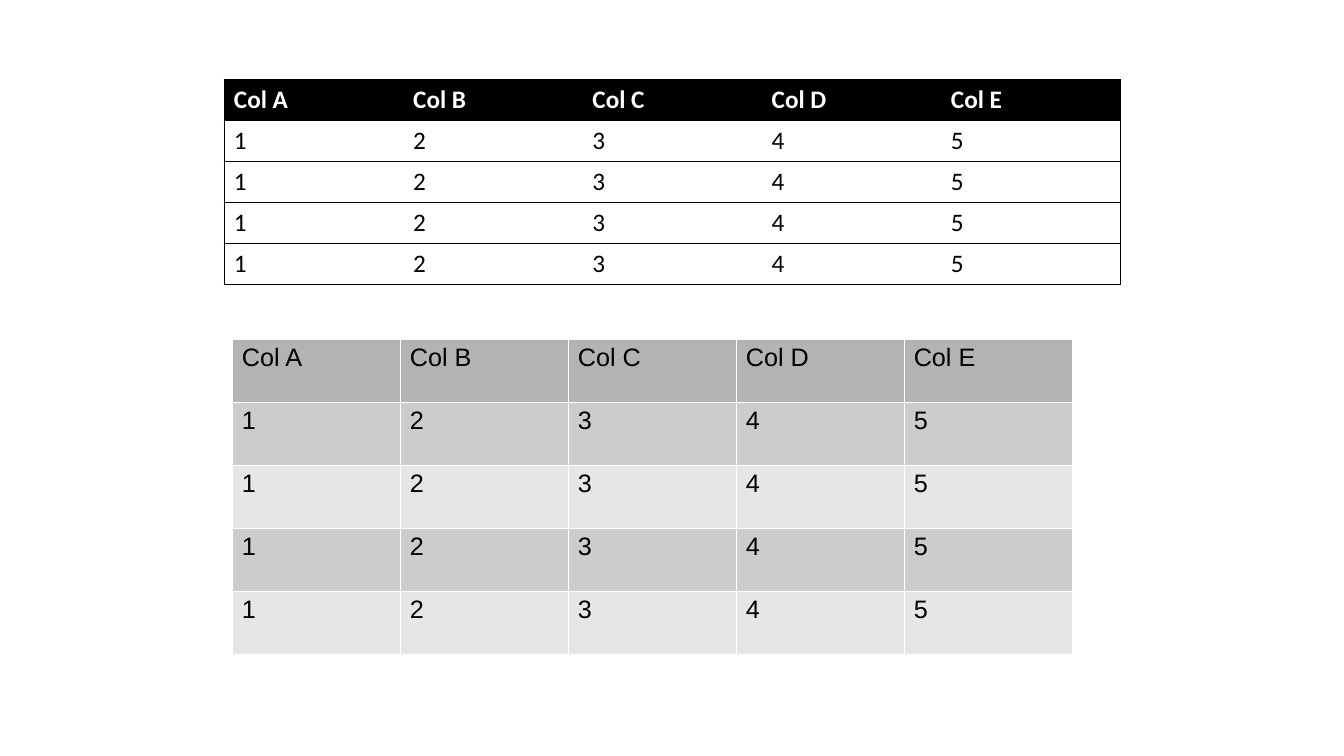
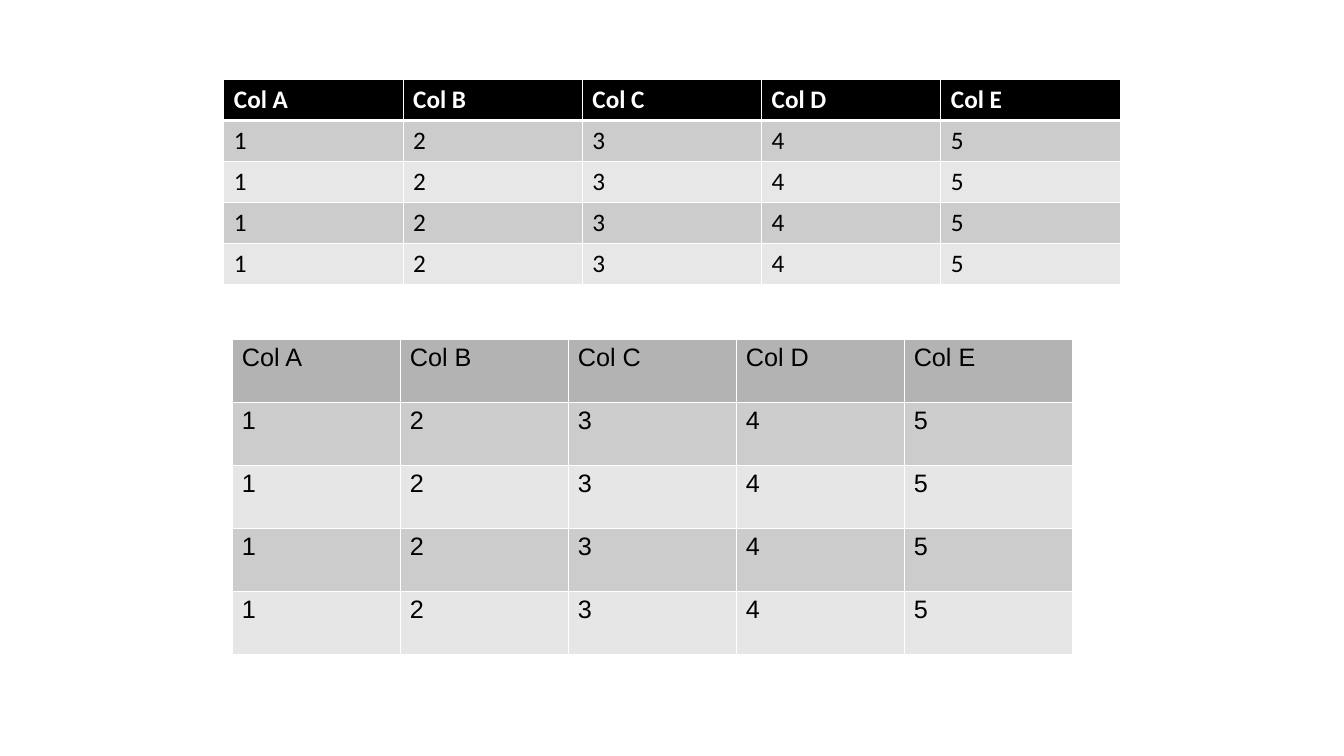
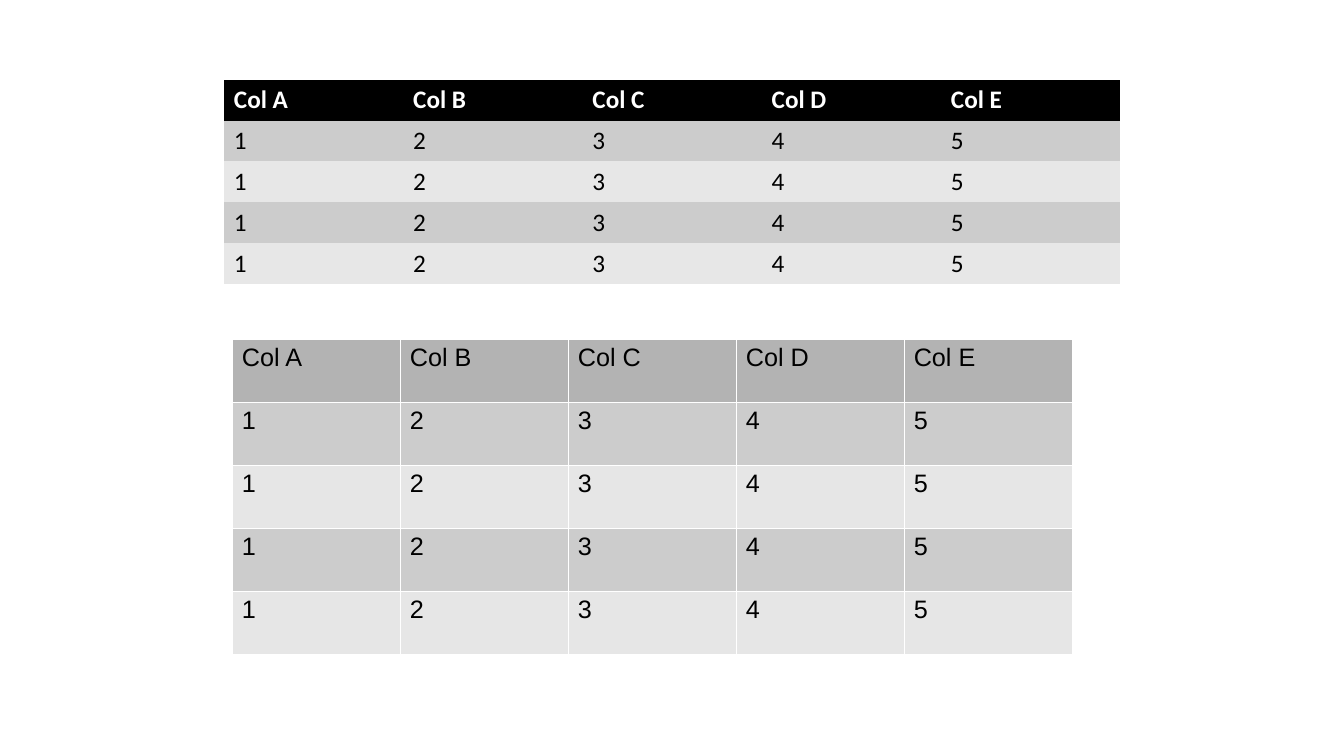
from pptx import Presentation
from pptx.dml.color import RGBColor
from pptx.enum.text import MSO_ANCHOR
from pptx.oxml.ns import qn
from pptx.util import Inches, Pt
from lxml import etree

MIDDLE, TOP = MSO_ANCHOR.MIDDLE, MSO_ANCHOR.TOP
BLANK = 6
BLACK, WHITE = "000000", "FFFFFF"
HEADER_GRAY, DARK_BAND = "B3B3B3", "CCCCCC"
ROWS = [[f"Col {letter}" for letter in "ABCDE"]] + [list("12345")] * 4

UPPER = dict(box=(2.22, 0.79, 8.89, 2.03), font="Calibri", header_fill=BLACK,
             header_color=WHITE, header_bold=True, anchor=MIDDLE)
LOWER = dict(box=(2.3, 3.36, 8.33, 3.13), font="Arial", header_fill=HEADER_GRAY,
             header_color=BLACK, header_bold=False, anchor=TOP,
             bands=(DARK_BAND, "E6E6E6"))
UPPER_BANDS = (DARK_BAND, "E7E7E7")
NO_BANDS = (None, None)


def rgb(value):
    """Return the colour of a hex string."""
    return RGBColor.from_string(value)


def grid(outer=None, row=None, column=None, header=None):
    """Describe table lines as (colour, points), or None for no line."""
    return dict(outer=outer, row=row, column=column, header=header or row)


def fill_cell(cell, color):
    """Fill a cell with a colour, or leave it clear."""
    if color:
        cell.fill.solid()
        cell.fill.fore_color.rgb = rgb(color)
    else:
        cell.fill.background()


def write(cell, text, font="Calibri", size=18, color=BLACK, bold=False, anchor=TOP):
    """Write formatted text into a cell."""
    cell.vertical_anchor = anchor
    r = cell.text_frame.paragraphs[0].add_run()
    r.text = text
    r.font.name, r.font.size, r.font.bold = font, Pt(size), bold
    r.font.color.rgb = rgb(color)


def border_cell(cell, sides):
    """Draw left, right, top and bottom lines ahead of the cell fill."""
    tc_pr = cell._tc.get_or_add_tcPr()
    for i, (tag, line) in enumerate(zip(("lnL", "lnR", "lnT", "lnB"), sides)):
        ln = etree.Element(qn(f"a:{tag}"))
        if line:
            color, width = line
            ln.set("w", str(Pt(width)))
            solid = etree.SubElement(ln, qn("a:solidFill"))
            etree.SubElement(solid, qn("a:srgbClr"), val=color)
        else:
            etree.SubElement(ln, qn("a:noFill"))
        tc_pr.insert(i, ln)


def cell_sides(lines, row, col, n_rows, n_cols):
    """Choose the four lines of a cell from its place in the table."""
    def horizontal(edge):
        if edge in (0, n_rows):
            return lines["outer"]
        return lines["header"] if edge == 1 else lines["row"]

    def vertical(edge):
        return lines["outer"] if edge in (0, n_cols) else lines["column"]

    return vertical(col), vertical(col + 1), horizontal(row), horizontal(row + 1)


def add_table(s, rows, box, font, header_fill, header_color, header_bold,
              anchor, bands, lines):
    """Add an evenly divided table with a header and two body bands."""
    n_rows, n_cols = len(rows), len(rows[0])
    frame = s.shapes.add_table(n_rows, n_cols, *map(Inches, box))
    table = frame.table
    table.horz_banding = False
    for row, values in enumerate(rows):
        is_header = row == 0
        for col, text in enumerate(values):
            cell = table.cell(row, col)
            fill_cell(cell, header_fill if is_header else bands[(row - 1) % 2])
            write(cell, text, font=font, anchor=anchor,
                  color=header_color if is_header else BLACK,
                  bold=header_bold and is_header)
            border_cell(cell, cell_sides(lines, row, col, n_rows, n_cols))


def main():
    """Build the three slides of paired tables."""
    prs = Presentation()
    prs.slide_width, prs.slide_height = Inches(13.33), Inches(7.5)
    black, white, hairline = (BLACK, 0.5), (WHITE, 0.96), (WHITE, 0.06)
    upper_looks = [
        (NO_BANDS, grid(outer=black, row=black)),
        (UPPER_BANDS, grid(white, white, white, header=(WHITE, 3))),
        (UPPER_BANDS, grid()),
    ]
    for bands, lines in upper_looks:
        s = prs.slides.add_slide(prs.slide_layouts[BLANK])
        add_table(s, ROWS, bands=bands, lines=lines, **UPPER)
        add_table(s, ROWS, lines=grid(hairline, hairline, hairline), **LOWER)
    prs.save("out.pptx")


if __name__ == "__main__":
    main()
